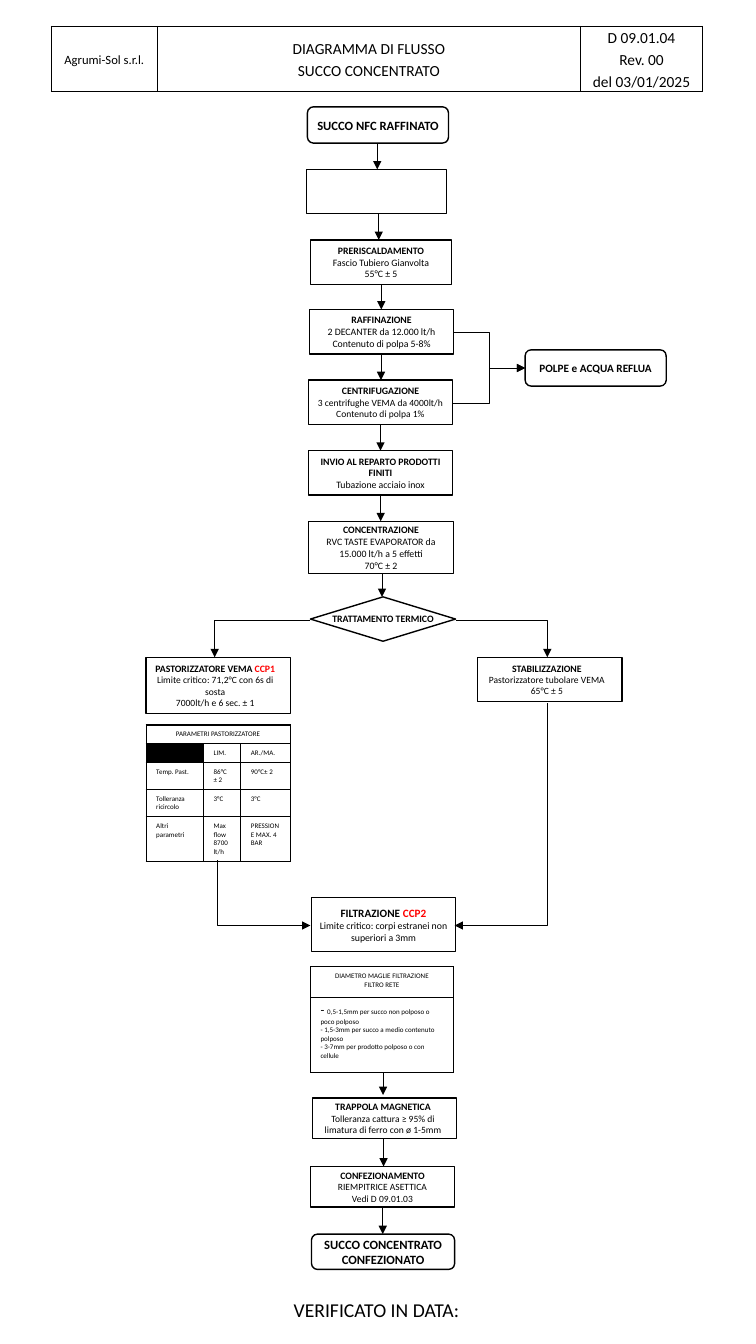
from dataclasses import dataclass
from itertools import pairwise
from typing import NamedTuple

from lxml.etree import SubElement
from pptx import Presentation
from pptx.dml.color import RGBColor
from pptx.enum.shapes import MSO_CONNECTOR, MSO_SHAPE
from pptx.enum.text import MSO_ANCHOR, PP_ALIGN
from pptx.oxml.ns import qn
from pptx.util import Emu, Inches, Pt

COLORS = {"ink": "000000", "alert": "FF0000"}
FONT = "Calibri"
WIDE, HIGH = Inches(7.5), Inches(13.33)
COLS = 75  # square grid: 75 columns across the slide
UNIT = WIDE / COLS
PROC, ROUND = MSO_SHAPE.FLOWCHART_PROCESS, MSO_SHAPE.ROUNDED_RECTANGLE


class Run(NamedTuple):
    text: str
    size: float = 7
    bold: bool = False
    color: str = "ink"


Line = list[Run]


@dataclass
class Step:
    x: float
    y: float
    w: float
    h: float
    lines: list[Line]
    kind: MSO_SHAPE = PROC
    shift: float = 0  # sideways offset of the text

    @property
    def mid(self) -> float:
        return self.x + self.w / 2

    @property
    def end(self) -> float:
        return self.y + self.h


@dataclass
class Grid:
    x: float
    y: float
    cols: list[float]
    rows: list[float]
    cells: list[list[list[Line]]]
    border: float
    pad: tuple[float, float]


def grid(n: float) -> Emu:
    return Emu(round(n * UNIT))


def rgb(name: str) -> RGBColor:
    return RGBColor.from_string(COLORS[name])


def text(size: float, *words: str) -> list[Line]:
    return [[Run(word, size)] for word in words]


def step(head: str, *rest: str, size: float = 7, small: float = 7, tag: str = "") -> list[Line]:
    """A bold heading, an optional red tag, then plain lines."""
    top = [Run(head, size, True)] + ([Run(tag, size, True, "alert")] if tag else [])
    return [top] + text(small, *rest)


def write(frame, lines: list[Line], align: PP_ALIGN, gap: float = 1) -> None:
    for i, line in enumerate(lines):
        para = frame.paragraphs[0] if i == 0 else frame.add_paragraph()
        para.alignment = align
        para.line_spacing = gap
        for part in line:
            run = para.add_run()
            run.text = part.text
            run.font.name, run.font.size = FONT, Pt(part.size)
            run.font.bold = part.bold
            run.font.color.rgb = rgb(part.color)


def draw_step(item: Step) -> None:
    shape = slide.shapes.add_shape(item.kind, *map(grid, (item.x, item.y, item.w, item.h)))
    shape.shadow.inherit = False
    shape.fill.background()
    shape.line.color.rgb, shape.line.width = rgb("ink"), Pt(1)
    frame = shape.text_frame
    frame.word_wrap = item.kind == PROC or len(item.lines) > 1
    frame.vertical_anchor = MSO_ANCHOR.MIDDLE
    frame.margin_top = frame.margin_bottom = 0
    frame.margin_left, frame.margin_right = grid(0.7 + item.shift), grid(0.7 - item.shift)
    write(frame, item.lines, PP_ALIGN.CENTER)


def draw_arrow(x1: float, y1: float, x2: float, y2: float, bend: int = 0, tip: str = "tailEnd") -> None:
    """Bend is the number of the bentConnector preset; 0 is straight."""
    kind = MSO_CONNECTOR.ELBOW if bend else MSO_CONNECTOR.STRAIGHT
    link = slide.shapes.add_connector(kind, *map(grid, (x1, y1, x2, y2)))
    link.line.color.rgb, link.line.width = rgb("ink"), Pt(0.5)
    props = link._element.spPr
    if bend:
        props.find(qn("a:prstGeom")).set("prst", f"bentConnector{bend}")
    SubElement(props.find(qn("a:ln")), qn(f"a:{tip}"), type="triangle")
    SubElement(props, qn("a:effectLst"))


def edge(cell, width: float) -> None:
    props = cell._tc.get_or_add_tcPr()
    for side in "LRTB":
        line = SubElement(props, qn(f"a:ln{side}"), w=str(Pt(width)))
        fill = SubElement(line, qn("a:solidFill"))
        SubElement(fill, qn("a:srgbClr"), val=COLORS["ink"])


def draw_table(data: Grid, center: int, anchor: MSO_ANCHOR, gap: float = 1):
    """The first `center` rows are centred."""
    size = (data.x, data.y, sum(data.cols), sum(data.rows))
    table = slide.shapes.add_table(len(data.rows), len(data.cols), *map(grid, size)).table
    table.first_row = table.horz_banding = False
    for col, width in zip(table.columns, data.cols):
        col.width = grid(width)
    for r, (row, height) in enumerate(zip(table.rows, data.rows)):
        row.height = grid(height)
        for cell, lines in zip(row.cells, data.cells[r]):
            edge(cell, data.border)
            cell.fill.background()
            cell.vertical_anchor = anchor
            cell.margin_left = cell.margin_right = grid(data.pad[0])
            cell.margin_top = cell.margin_bottom = grid(data.pad[1])
            write(cell.text_frame, lines, PP_ALIGN.CENTER if r < center else PP_ALIGN.LEFT, gap)
            if not lines:
                SubElement(cell.text_frame.paragraphs[0]._p, qn("a:endParaRPr"), sz="500")
    return table


deck = Presentation()
deck.slide_width, deck.slide_height = WIDE, HIGH
slide = deck.slides.add_slide(deck.slide_layouts[6])

# Header
header = Grid(5.1, 2.6, [10.5, 42, 12.1], [6.2], [[
    text(9, "Agrumi-Sol s.r.l."),
    text(11, "DIAGRAMMA DI FLUSSO", "SUCCO CONCENTRATO"),
    text(11, "D 09.01.04", "Rev. 00", "del 03/01/2025"),
]], 0.75, (0.4, 0))
draw_table(header, 1, MSO_ANCHOR.MIDDLE, 1.15)

# Main line of steps
upper = [
    Step(30.5, 10.6, 14, 3.6, step("SUCCO NFC RAFFINATO", size=9), ROUND),
    Step(30.4, 16.8, 13.9, 4.4, []),
    Step(30.8, 23.8, 14, 4.4, step("PRERISCALDAMENTO", "Fascio Tubiero Gianvolta", "55°C ± 5")),
    Step(30.7, 30.7, 14.3, 4.4,
         step("RAFFINAZIONE", "2 DECANTER da 12.000 lt/h", "Contenuto di polpa 5-8%")),
    Step(30.6, 37.7, 14.3, 4.4, step("CENTRIFUGAZIONE", "3 centrifughe VEMA da 4000lt/h",
                                     "Contenuto di polpa 1%", small=6.8)),
    Step(30.6, 44.7, 14.3, 4.4, step("INVIO AL REPARTO PRODOTTI FINITI", "Tubazione acciaio inox")),
    Step(30.6, 51.7, 14.4, 5.2,
         step("CONCENTRAZIONE", "RVC TASTE EVAPORATOR da 15.000 lt/h a 5 effetti", "70°C ± 2")),
    Step(30.8, 59.2, 14.4, 4.4, step("TRATTAMENTO TERMICO"), MSO_SHAPE.FLOWCHART_DECISION),
]
lower = [
    Step(31, 108.9, 14.3, 4, step("TRAPPOLA MAGNETICA",
         "Tolleranza cattura ≥ 95% di limatura di ferro con ø 1-5mm", small=6.8), shift=-0.15),
    Step(30.8, 115.7, 14.3, 4,
         step("CONFEZIONAMENTO", "RIEMPITRICE ASETTICA", "Vedi D 09.01.03", small=6.8)),
    Step(30.9, 122.4, 14.2, 3.5, [[Run("SUCCO CONCENTRATO", 9, True)],
                                  [Run("CONFEZIONATO", 9, True)]], ROUND),
]

# Side branches
side = [
    Step(52.1, 34.7, 14, 3.6, step("POLPE e ACQUA REFLUA", size=8), ROUND),
    Step(14.5, 65.2, 14.3, 5.6, step("PASTORIZZATORE VEMA ", "Limite critico: 71,2°C con 6s di sosta",
         "7000lt/h e 6 sec. ± 1", small=6.8, tag="CCP1"), shift=-0.3),
    Step(47.4, 65.2, 14.3, 4.4, step("STABILIZZAZIONE", "Pastorizzatore tubolare VEMA",
                                     "65°C ± 5", small=6.8), shift=-0.3),
    Step(30.9, 89, 14.3, 5.4, step("FILTRAZIONE ", "Limite critico: corpi estranei non superiori a 3mm",
                                   size=8, tag="CCP2")),
]
for item in upper + lower + side:
    draw_step(item)

# Straight arrows
for line in (upper, lower):
    for a, b in pairwise(line):
        x = (a.mid + b.mid) / 2
        draw_arrow(x, a.end, x, b.y)
draw_arrow(38, 106.4, 38, 108.6)

# Bent arrows
draw_arrow(45, 33, 52.1, 36.5, 3)
draw_arrow(44.9, 40, 52.1, 36.5, 3)
draw_arrow(45.2, 61.5, 54.3, 65.2, 2)
draw_arrow(30.8, 61.5, 21.3, 65.2, 2)
draw_arrow(30.8, 91.8, 21.6, 85.3, 2, "headEnd")
draw_arrow(45.1, 91.8, 54.3, 69.7, 2, "headEnd")

# Pasteuriser limits
limits = [
    ("PARAMETRI PASTORIZZATORE", "", ""),
    ("", "LIM.", "AR./MA."),
    ("Temp. Past.", "86°C ± 2", "90°C± 2"),
    ("Tolleranza ricircolo", "3°C", "3°C"),
    ("Altri parametri", "Max flow 8700 lt/h", "PRESSIONE MAX. 4 BAR"),
]
cells = [[text(5, word) if word else [] for word in row] for row in limits]
table = draw_table(Grid(14.5, 71.9, [5.7, 3.7, 4.9], [1.85, 1.85, 2.6, 2.6, 4.4],
                        cells, 1, (1, 0.5)), 1, MSO_ANCHOR.TOP)
table.cell(0, 0).merge(table.cell(0, 2))
blank = table.cell(1, 0).fill
blank.solid()
blank.fore_color.rgb = rgb("ink")

# Filter mesh sizes
mesh = [[Run("- ", 9), Run("0,5-1,5mm per succo non polposo o poco polposo", 5)]]
mesh += text(5, "- 1,5-3mm per succo a medio contenuto polposo", "- 3-7mm per prodotto polposo o con cellule")
draw_table(Grid(30.8, 95.9, [14.2], [3, 7.5],
                [[text(5, "DIAMETRO MAGLIE FILTRAZIONE", "FILTRO RETE")], [mesh]],
                0.75, (1, 0.5)), 1, MSO_ANCHOR.TOP)

# Sign-off
note = slide.shapes.add_textbox(*map(grid, (11.2, 128.2, 52.3, 3.4))).text_frame
note.word_wrap = True
write(note, text(14, "VERIFICATO IN DATA:"), PP_ALIGN.CENTER)

deck.save("out.pptx")
